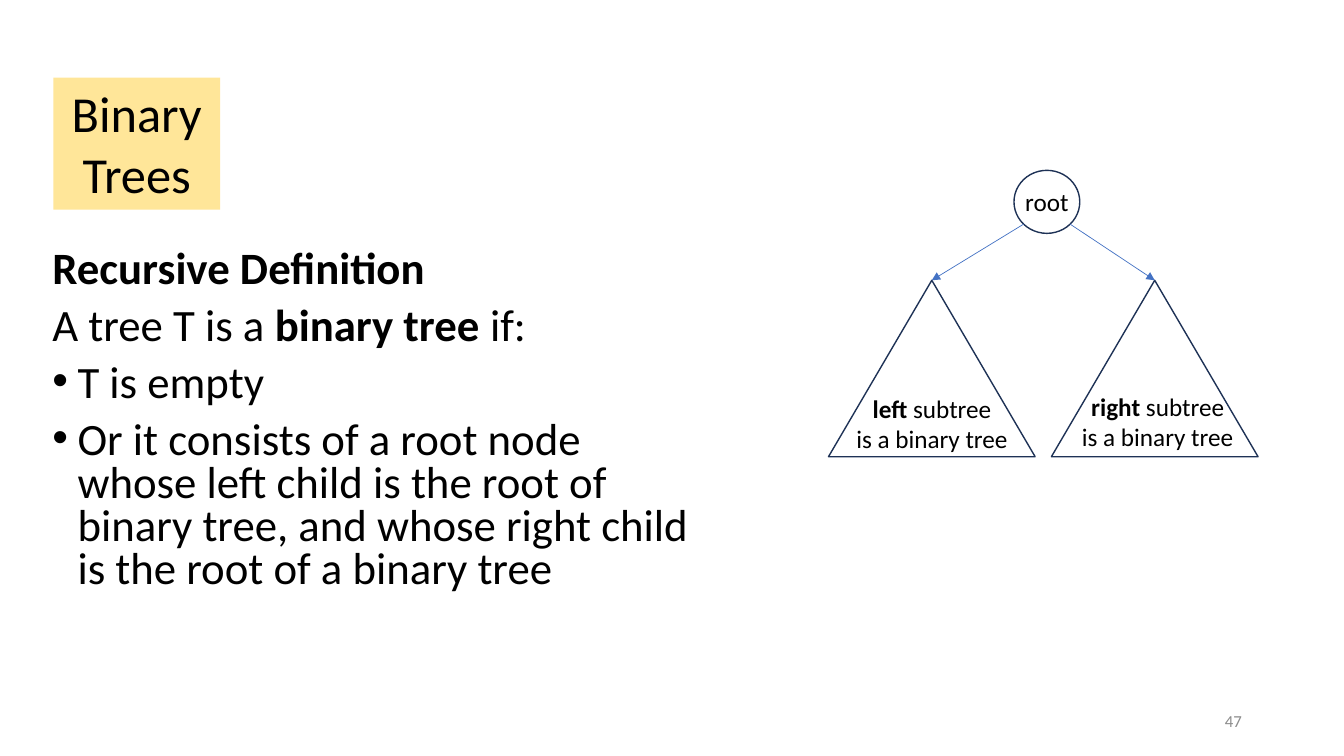
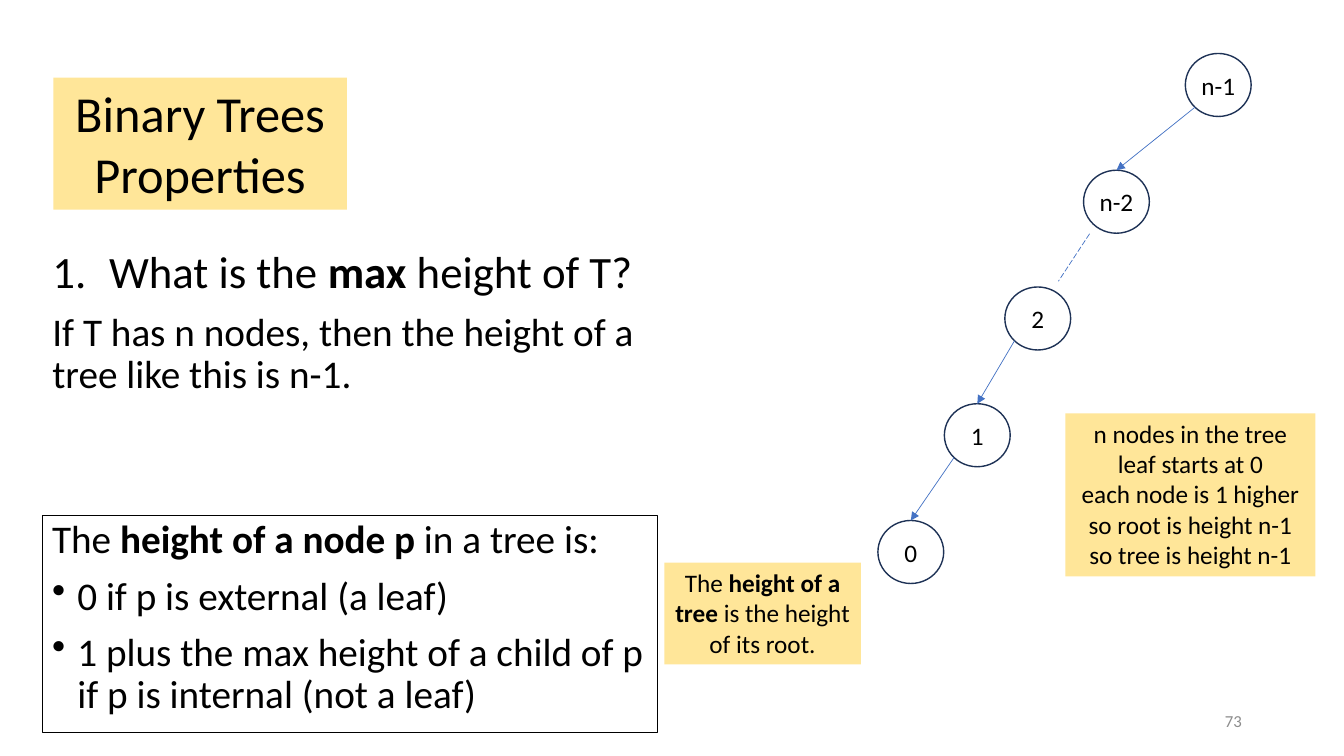
import pptx
import pptx.util
import pptx.dml.color
import pptx.enum.dml
import pptx.enum.shapes
import pptx.enum.text
import pptx.oxml
import pptx.oxml.ns
import lxml.etree

Pt = pptx.util.Pt
RGB = pptx.dml.color.RGBColor
SHAPE = pptx.enum.shapes.MSO_SHAPE
ALIGN = pptx.enum.text.PP_ALIGN
ANCHOR = pptx.enum.text.MSO_ANCHOR
qn = pptx.oxml.ns.qn

BLACK = RGB(0x00, 0x00, 0x00)
GOLD = RGB(0xFF, 0xE6, 0x99)
NAVY = RGB(0x1E, 0x32, 0x56)
BLUE = RGB(0x44, 0x72, 0xC4)
GRAY = RGB(0x8C, 0x8C, 0x8C)

NODE_W, NODE_H = 47, 45
DIAGONAL = 0.707
BULLETS = {
    "": ("buNone", {}, 0),
    "•": ("buChar", {"char": "•"}, 18),
    "1.": ("buAutoNum", {"type": "arabicPeriod"}, 40.5),
}
CENTERED = {"alignment": ALIGN.CENTER, "line_spacing": 1.0}
FRAME = {"word_wrap": True, "auto_size": pptx.enum.text.MSO_AUTO_SIZE.NONE}


def write(sp, paragraphs, fmt, gap=0, color=BLACK, anchor=ANCHOR.TOP):
    tf = sp.text_frame
    for name, value in {**FRAME, "vertical_anchor": anchor}.items():
        setattr(tf, name, value)
    for i, (bullet, size, text) in enumerate(paragraphs):
        p = tf.add_paragraph() if i else tf.paragraphs[0]
        tag, attributes, indent = BULLETS[bullet]
        pPr = p._p.get_or_add_pPr()
        pPr.set("marL", str(Pt(indent)))
        pPr.set("indent", str(-Pt(indent)))
        lxml.etree.SubElement(pPr, qn("a:" + tag), attributes)
        spacing = {"space_before": Pt(gap if i else 0), "space_after": Pt(0)}
        for name, value in {**fmt, **spacing}.items():
            setattr(p, name, value)
        for j, part in enumerate(text.split("**")):
            for k, line in enumerate(part.split("\n")):
                if k:
                    p.add_line_break()
                if line:
                    r = p.add_run()
                    r.text = line
                    font = {"name": "Calibri", "size": Pt(size), "bold": j % 2 == 1}
                    for name, value in font.items():
                        setattr(r.font, name, value)
                    r.font.color.rgb = color


def add_line(s, x1, y1, x2, y2, dashed=False):
    cx = s.shapes.add_connector(
        pptx.enum.shapes.MSO_CONNECTOR.STRAIGHT, Pt(x1), Pt(y1), Pt(x2), Pt(y2))
    cx.line.color.rgb = BLUE
    cx.line.width = Pt(0.5)
    if dashed:
        cx.line.dash_style = pptx.enum.dml.MSO_LINE.LONG_DASH
    else:
        lxml.etree.SubElement(cx.line._get_or_add_ln(), qn("a:tailEnd"), type="triangle")
    lxml.etree.SubElement(cx._element.spPr, qn("a:effectLst"))
    return cx


prs = pptx.Presentation()
prs.slide_width, prs.slide_height = Pt(960), Pt(540)

pages = [
    ("Binary Trees", 119, "47", 273, 0.8, [
        ("", 32, "**Recursive Definition**"),
        ("", 32, "A tree T is a **binary tree **if:"),
        ("•", 32, "T is empty"),
        ("•", 32, "Or it consists of a root node whose left child is the root of "
                  "binary tree, and whose right child is the root of a binary tree"),
    ]),
    ("Binary Trees Properties", 209.5, "73", 163.5, 0.9, [
        ("1.", 32, "What is the **max** height of T?"),
        ("", 28, "If T has n nodes, then the height of a tree like this is n-1."),
    ]),
]
for title, width, number, height, leading, items in pages:
    s = prs.slides.add_slide(prs.slide_layouts[1])
    sp, body = s.placeholders
    sp.left, sp.top, sp.width, sp.height = Pt(38.2), Pt(55.4), Pt(width), Pt(94.3)
    sp.fill.solid()
    sp.fill.fore_color.rgb = GOLD
    write(sp, [("", 36, title)], CENTERED)
    body.left, body.top, body.width, body.height = Pt(30.2), Pt(175), Pt(474.5), Pt(height)
    write(body, items, {"alignment": ALIGN.LEFT, "line_spacing": leading}, 10)
    sp = s.shapes.add_textbox(Pt(678.2), Pt(500.4), Pt(216), Pt(28.8))
    write(sp, [("", 12, number)], {"alignment": ALIGN.RIGHT}, color=GRAY, anchor=ANCHOR.MIDDLE)

definition, properties = prs.slides
chain = [("n-1", 846.7), ("n-2", 774), ("2", 717.8), ("1", 674.6), ("0", 627.1)]
nodes = [(definition, "root", 724.3, 121.7)]
nodes += [(properties, label, x, 38.2 + 83.4 * i) for i, (label, x) in enumerate(chain)]
circles = {}
for s, label, x, y in nodes:
    sp = s.shapes.add_shape(SHAPE.OVAL, Pt(x), Pt(y), Pt(NODE_W), Pt(NODE_H))
    sp.shadow.inherit = False
    sp.fill.background()
    sp.line.color.rgb = NAVY
    sp.line.width = Pt(1)
    write(sp, [("", 18, label)], CENTERED, anchor=ANCHOR.MIDDLE)
    for side in ("left", "right", "top", "bottom"):
        setattr(sp.text_frame, "margin_" + side, 0)
    sp.text_frame.word_wrap = False
    circles[label] = sp

edges = [(properties, upper, -1, circles[lower])
         for upper, lower in (("n-1", "n-2"), ("2", "1"), ("1", "0"))]
subtrees = [("left", -1, 591.8, 602.7, 277.2), ("right", 1, 751, 763.9, 275.8)]
for name, direction, x, label_x, label_y in subtrees:
    sp = definition.shapes.add_shape(SHAPE.ISOSCELES_TRIANGLE, Pt(x), Pt(200.2), Pt(147.6), Pt(126))
    sp.shadow.inherit = False
    sp.fill.background()
    sp.line.color.rgb = NAVY
    sp.line.width = Pt(1)
    edges.append((definition, "root", direction, sp))
    sp = definition.shapes.add_textbox(Pt(label_x), Pt(label_y), Pt(126), Pt(51))
    write(sp, [("", 18, f"**{name}** subtree\nis a binary tree")], CENTERED)

for s, label, direction, target in edges:
    start = circles[label]
    x = start.left.pt + NODE_W / 2 * (1 + direction * DIAGONAL)
    y = start.top.pt + NODE_H / 2 * (1 + DIAGONAL)
    add_line(s, x, y, x, y).end_connect(target, 0)
add_line(properties, 778.3, 167, 756, 200.9, dashed=True)

boxes = [
    (30.2, 367.9, 439.2, 155.5, None, {"alignment": ALIGN.LEFT, "line_spacing": 0.9}, 10, [
        ("", 28, "The **height of a node p **in a tree is:"),
        ("•", 28, "0 if p is external (a leaf)"),
        ("•", 28, "1 plus the max height of a child of p\nif p is internal (not a leaf)"),
    ]),
    (474.5, 401.8, 140.4, 72.7, GOLD, CENTERED, 0, [
        ("", 18, "The **height of a tree **is the height of its root."),
    ]),
    (761, 295.2, 178.6, 116.6, GOLD, CENTERED, 0, [
        ("", 18, "n nodes in the tree\nleaf starts at 0\neach node is 1 higher"),
        ("", 18, "so root is height n-1\nso tree is height n-1"),
    ]),
]
for x, y, w, h, fill, fmt, gap, paragraphs in boxes:
    sp = properties.shapes.add_shape(SHAPE.RECTANGLE, Pt(x), Pt(y), Pt(w), Pt(h))
    sp.shadow.inherit = False
    if fill:
        sp.fill.solid()
        sp.fill.fore_color.rgb = fill
        sp.line.fill.background()
    else:
        sp.fill.background()
        sp.line.color.rgb = BLACK
        sp.line.width = Pt(0.75)
    write(sp, paragraphs, fmt, gap)

prs.save("out.pptx")
